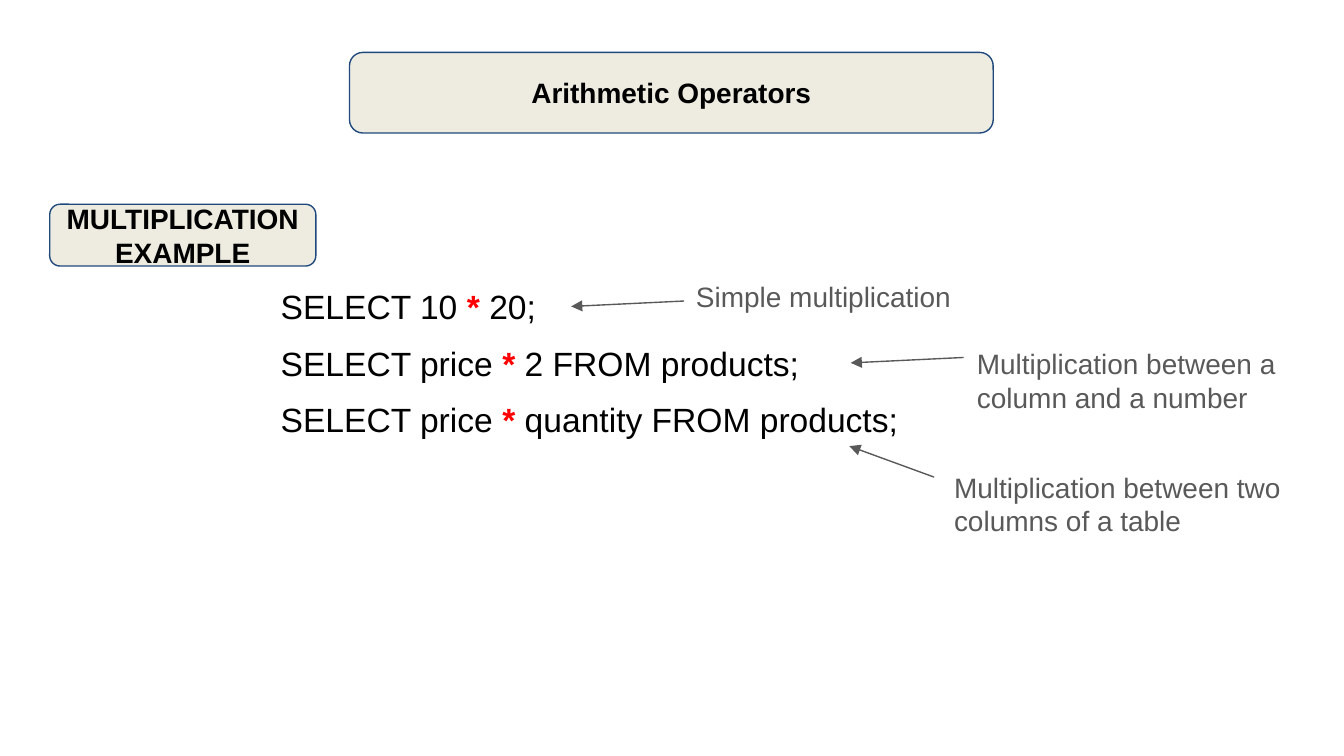
from lxml import etree
from pptx import Presentation
from pptx.dml.color import RGBColor
from pptx.enum.shapes import MSO_CONNECTOR, MSO_SHAPE
from pptx.enum.text import MSO_ANCHOR, MSO_AUTO_SIZE, PP_ALIGN
from pptx.oxml.ns import qn
from pptx.util import Inches, Pt

ROUNDED = MSO_SHAPE.ROUNDED_RECTANGLE
STRAIGHT = MSO_CONNECTOR.STRAIGHT
MIDDLE, TOP = MSO_ANCHOR.MIDDLE, MSO_ANCHOR.TOP
CENTER, LEFT = PP_ALIGN.CENTER, PP_ALIGN.LEFT
NO_AUTOFIT = MSO_AUTO_SIZE.NONE

BLACK = RGBColor(0x00, 0x00, 0x00)
RED = RGBColor(0xFF, 0x00, 0x00)
GRAY = RGBColor(0x59, 0x59, 0x59)
CREAM = RGBColor(0xEE, 0xEC, 0xE1)
NAVY = RGBColor(0x1F, 0x49, 0x7D)

FONT = "Arial"
LINE_WIDTH = Pt(0.75)
TITLE_BOX = (2.6, 0.39, 4.79, 0.6)
LABEL_BOX = (0.37, 1.52, 1.98, 0.46)
QUERY_BOX = (1.99, 2.03, 5.11, 0.46)
QUERY_STEP = 0.42

# Text before and after the operator
QUERIES = [
    ("SELECT 10 ", "20;"),
    ("SELECT price ", "2 FROM products;"),
    ("SELECT price ", "quantity FROM products;"),
]
# Note text, its box, arrow start and arrow end
NOTES = [
    ("Simple multiplication", (5.08, 1.98, 2.48, 0.29), (5.09, 2.24), (4.25, 2.28)),
    ("Multiplication between a column and a number", (7.17, 2.48, 2.65, 0.6),
     (7.17, 2.66), (6.33, 2.7)),
    ("Multiplication between two columns of a table", (7, 3.4, 2.81, 0.6),
     (6.95, 3.55), (6.32, 3.32)),
]


def inches(values):
    return [Inches(value) for value in values]


def write_text(shape, parts, size, alignment=LEFT, anchor=TOP):
    """Fill the shape with one paragraph of (text, color, bold) parts."""
    text_frame = shape.text_frame
    text_frame.word_wrap = True
    text_frame.auto_size = NO_AUTOFIT
    text_frame.vertical_anchor = anchor
    text_frame.margin_left = text_frame.margin_right = Inches(0.1)
    text_frame.margin_top = text_frame.margin_bottom = Inches(0.1)
    paragraph = text_frame.paragraphs[0]
    paragraph.alignment = alignment
    for text, color, bold in parts:
        run = paragraph.add_run()
        run.text = text
        run.font.name = FONT
        run.font.size = Pt(size)
        run.font.bold = bold
        run.font.color.rgb = color


def add_panel(slide, box, text):
    panel = slide.shapes.add_shape(ROUNDED, *inches(box))
    panel.shadow.inherit = False
    panel.fill.solid()
    panel.fill.fore_color.rgb = CREAM
    panel.line.color.rgb = NAVY
    panel.line.width = LINE_WIDTH
    write_text(panel, [(text, BLACK, True)], 15, CENTER, MIDDLE)


def add_queries(slide, box, queries):
    left, top, width, height = box
    for row, (before, after) in enumerate(queries):
        row_box = (left, top + row * QUERY_STEP, width, height)
        query = slide.shapes.add_textbox(*inches(row_box))
        parts = [(before, BLACK, False), ("* ", RED, True), (after, BLACK, False)]
        write_text(query, parts, 18)


def add_note(slide, text, box, start, end):
    note = slide.shapes.add_textbox(*inches(box))
    write_text(note, [(text, GRAY, False)], 15)
    arrow = slide.shapes.add_connector(STRAIGHT, *inches(start + end))
    arrow.line.color.rgb = GRAY
    arrow.line.width = LINE_WIDTH
    # Arrowhead, and no shadow
    properties = arrow.element.spPr
    etree.SubElement(properties.find(qn("a:ln")), qn("a:tailEnd"), type="triangle")
    etree.SubElement(properties, qn("a:effectLst"))


# Widescreen slide, 16 by 9
presentation = Presentation()
presentation.slide_width = Inches(10)
presentation.slide_height = Inches(10 * 9 / 16)
slide = presentation.slides.add_slide(presentation.slide_layouts[6])

# Title and example label
add_panel(slide, TITLE_BOX, "Arithmetic Operators")
add_panel(slide, LABEL_BOX, "MULTIPLICATION EXAMPLE")

# Queries with their notes
add_queries(slide, QUERY_BOX, QUERIES)
for note_details in NOTES:
    add_note(slide, *note_details)
presentation.save("out.pptx")
